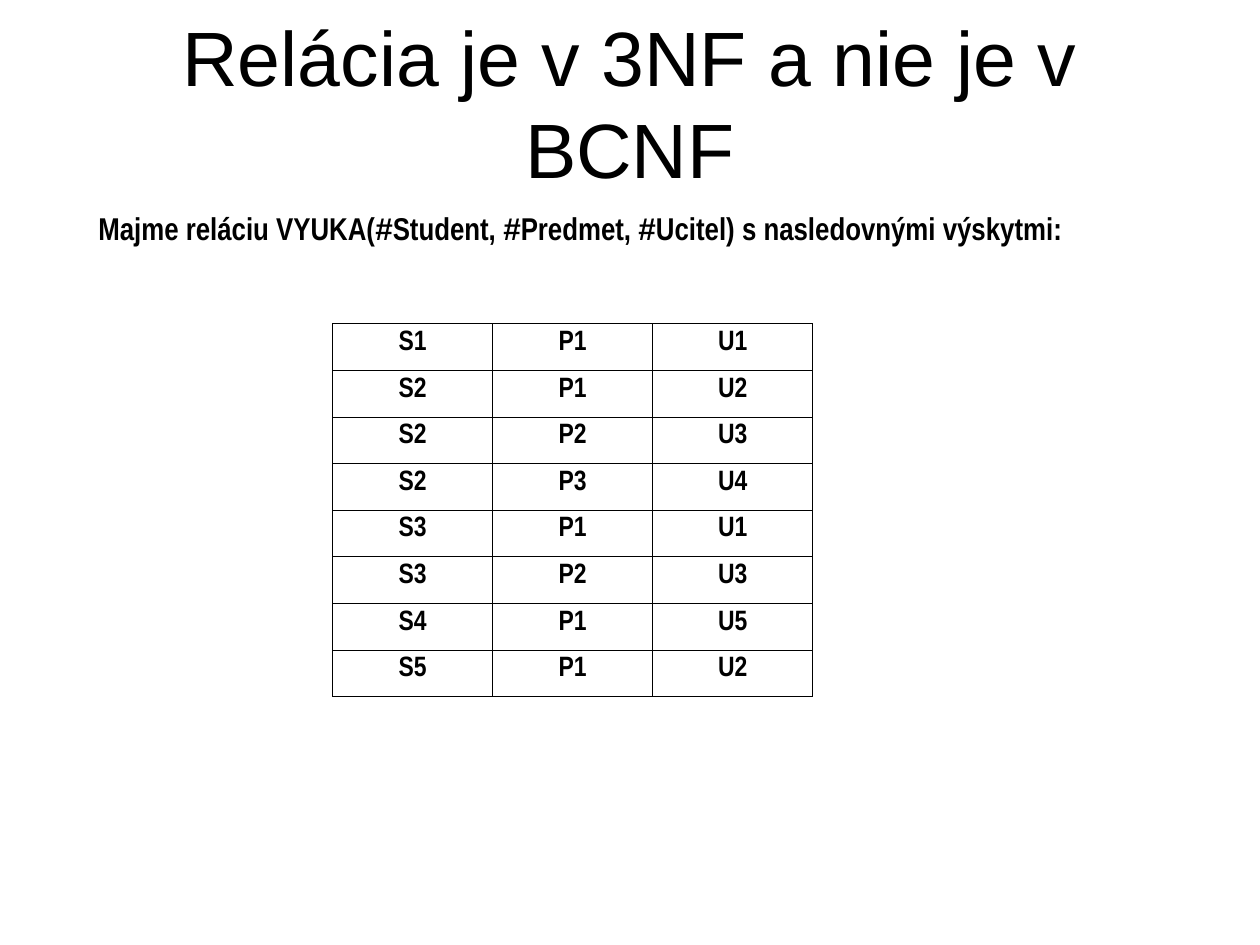
from lxml import etree
from pptx import Presentation
from pptx.dml.color import RGBColor
from pptx.enum.text import MSO_ANCHOR, PP_ALIGN
from pptx.oxml.ns import qn
from pptx.util import Inches, Pt

CENTER, LEFT = PP_ALIGN.CENTER, PP_ALIGN.LEFT
MIDDLE = MSO_ANCHOR.MIDDLE
BLACK = "000000"
WIDE, NARROW = "Arial", "Arial Narrow"

TITLE = [("Relácia je v 3NF a nie je v BCNF", WIDE)]
INTRO = [
    ("Majme reláciu VYUKA(", NARROW),
    ("#", WIDE), ("Student, ", NARROW),
    ("#", WIDE), ("Predmet, ", NARROW),
    ("#", WIDE), ("Ucitel) s nasledovnými výskytmi:", NARROW),
]
LESSONS = [
    ("S1", "P1", "U1"),
    ("S2", "P1", "U2"),
    ("S2", "P2", "U3"),
    ("S2", "P3", "U4"),
    ("S3", "P1", "U1"),
    ("S3", "P2", "U3"),
    ("S4", "P1", "U5"),
    ("S5", "P1", "U2"),
]
TABLE_LEFT, TABLE_TOP = 2.64, 2.57
COLUMN_WIDTH, ROW_HEIGHT = 1.27, 0.37
BORDER_WIDTH = 0.45


def color(value):
    return RGBColor.from_string(value)


def write(paragraph, pieces, size, bold, alignment):
    paragraph.alignment = alignment
    for text, family in pieces:
        run = paragraph.add_run()
        run.text = text
        for key, value in {"name": family, "size": Pt(size), "bold": bold}.items():
            setattr(run.font, key, value)
        run.font.color.rgb = color(BLACK)


def add_text(slide, place, insets, pieces, size, bold, alignment):
    frame = slide.shapes.add_textbox(*map(Inches, place)).text_frame
    frame.word_wrap = True
    frame.vertical_anchor = MIDDLE
    for side, inset in zip(("left", "top", "right", "bottom"), insets):
        setattr(frame, f"margin_{side}", Inches(inset))
    write(frame.paragraphs[0], pieces, size, bold, alignment)


def add_borders(cell):
    properties = cell._tc.get_or_add_tcPr()
    for index, tag in enumerate(("a:lnL", "a:lnR", "a:lnT", "a:lnB")):
        line = etree.Element(qn(tag), w=str(Pt(BORDER_WIDTH)))
        fill = etree.SubElement(line, qn("a:solidFill"))
        etree.SubElement(fill, qn("a:srgbClr"), val=BLACK)
        properties.insert(index, line)


def add_lessons(slide):
    rows, columns = len(LESSONS), len(LESSONS[0])
    place = (TABLE_LEFT, TABLE_TOP, columns * COLUMN_WIDTH, rows * ROW_HEIGHT)
    table = slide.shapes.add_table(rows, columns, *map(Inches, place)).table
    table.first_row = table.horz_banding = False
    for column in table.columns:
        column.width = Inches(COLUMN_WIDTH)
    for row, lesson in zip(table.rows, LESSONS):
        row.height = Inches(ROW_HEIGHT)
        for cell, value in zip(row.cells, lesson):
            cell.fill.background()
            write(cell.text_frame.paragraphs[0], [(value, NARROW)], 16, True, CENTER)
            add_borders(cell)


def main():
    deck = Presentation()
    deck.slide_width, deck.slide_height = Inches(10), Inches(7.5)
    slide = deck.slides.add_slide(deck.slide_layouts[6])
    add_text(slide, (0.5, 0.3, 9, 1.01), (0.1, 0.05, 0.1, 0.05), TITLE, 44, False, CENTER)
    add_text(slide, (0.18, 1.19, 8.31, 1.11), (0.6, 0.17, 0, 0.04), INTRO, 18, True, LEFT)
    add_lessons(slide)
    deck.save("out.pptx")


if __name__ == "__main__":
    main()
